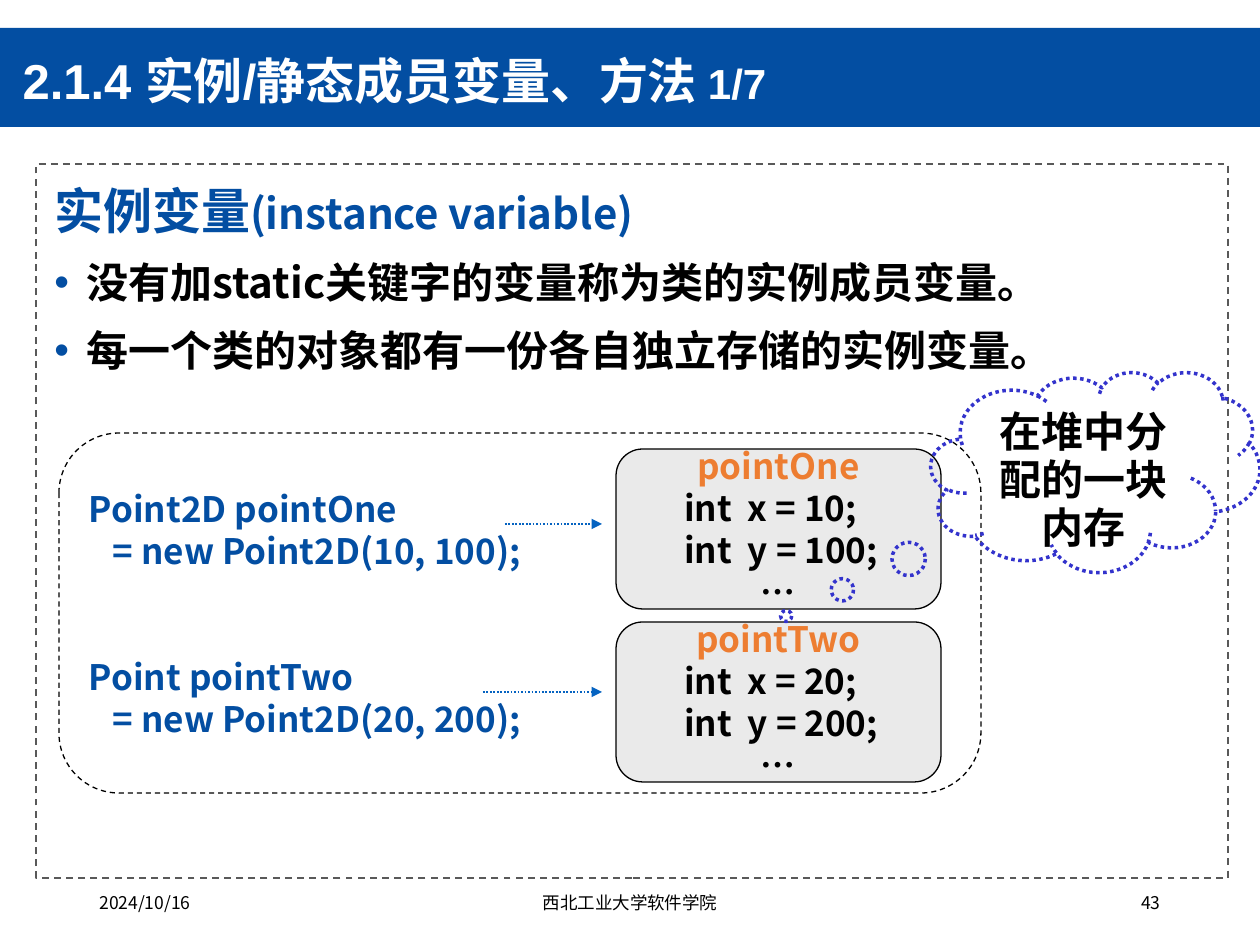
"""Build the slide on Java instance variables and their heap storage."""
import pptx
import pptx.util
import pptx.dml.color
import pptx.enum.dml
import pptx.enum.shapes
import pptx.enum.text
import pptx.oxml.ns
from dataclasses import dataclass
from lxml import etree

SHAPES = pptx.enum.shapes.MSO_SHAPE
ALIGN = pptx.enum.text.PP_ALIGN
ANCHOR = pptx.enum.text.MSO_ANCHOR
DASH = pptx.enum.dml.MSO_LINE


@dataclass(frozen=True)
class Theme:
    latin: str = "Arial"
    cjk: str = "Noto Sans CJK SC"
    blue: str = "034EA2"
    white: str = "FFFFFF"
    black: str = "000000"
    orange: str = "ED7D31"
    card: str = "EAEAEA"
    frame: str = "595959"
    arrow: str = "0563C1"
    cloud: str = "3333CC"
    heading: int = 28
    body: int = 24
    code: int = 20
    footer: int = 10
    leading: float = 1.2


THEME = Theme()
PX = 914400 // 126

TITLE = [("2.1.4 实例/静态成员变量、方法 ", THEME.heading), ("1/7", THEME.body)]
HEADING = [("实例变量", THEME.heading), ("(instance variable)", THEME.body)]
BULLETS = ["没有加static关键字的变量称为类的实例成员变量。",
           "每一个类的对象都有一份各自独立存储的实例变量。"]
STATEMENTS = [("Point2D pointOne", "   = new Point2D(10, 100);"),
              ("Point pointTwo", "   = new Point2D(20, 200);")]
OBJECTS = [("pointOne", ["int  x = 10;", "int  y = 100;"]),
           ("pointTwo", ["int  x = 20;", "int  y = 200;"])]
ARROWS = [(505, 524), (483, 692)]
ARROW_END = 602
CARD_TOP, CARD_PITCH = 449, 173
CALLOUT = "在堆中分配的一块内存"
FOOTERS = [("2024/10/16", 87, 284, ALIGN.LEFT),
           ("西北工业大学软件学院", 417, 426, ALIGN.CENTER),
           ("43", 890, 283, ALIGN.RIGHT)]


def px(*lengths):
    return [length * PX for length in lengths]


def rgb(color):
    return pptx.dml.color.RGBColor.from_string(color)


def sub(parent, tag, **attributes):
    return etree.SubElement(parent, pptx.oxml.ns.qn(tag), attributes)


def set_line(line, color, width, dash=None):
    line.color.rgb = rgb(color)
    line.width = pptx.util.Pt(width)
    if dash:
        line.dash_style = dash


def add_outline(slide, kind, box, fill=None, line=None):
    outline = slide.shapes.add_shape(kind, *px(*box))
    outline.shadow.inherit = False
    if fill:
        outline.fill.solid()
        outline.fill.fore_color.rgb = rgb(fill)
    else:
        outline.fill.background()
    if line:
        set_line(outline.line, *line)
    else:
        outline.line.fill.background()
    return outline


def prepare(frame, anchor=ANCHOR.TOP):
    frame.word_wrap = True
    frame.vertical_anchor = anchor
    return frame


def add_run(paragraph, text, size, color, latin=THEME.cjk, bold=True):
    run = paragraph.add_run()
    run.text = text
    font = run.font
    font.size, font.bold, font.name = pptx.util.Pt(size), bold, latin
    font.color.rgb = rgb(color)
    sub(run.font._element, "a:ea", typeface=THEME.cjk)


def add_paragraph(frame, runs, color, align=ALIGN.LEFT, before=0, indent=0,
                  leading=THEME.leading, bullet=False):
    first = frame.paragraphs[0]
    paragraph = frame.add_paragraph() if first.runs else first
    paragraph.alignment = align
    paragraph.line_spacing = pptx.util.Pt(max(size for _, size in runs) * leading)
    if before:
        paragraph.space_before = pptx.util.Pt(before)
    properties = paragraph._p.get_or_add_pPr()
    if indent:
        properties.set("marL", str(indent * PX))
    if bullet:
        properties.set("indent", str(-indent * PX))
        sub(sub(properties, "a:buClr"), "a:srgbClr", val=THEME.blue)
        sub(properties, "a:buFont", typeface=THEME.latin)
        sub(properties, "a:buChar", char="•")
    for text, size in runs:
        add_run(paragraph, text, size, color)


def add_title(slide):
    title = slide.shapes.title
    title.left, title.top, title.width, title.height = px(10, 42, 926, 83)
    header = add_outline(slide, SHAPES.RECTANGLE, (0, 28, 1260, 99), THEME.blue)
    title.element.addprevious(header.element)
    paragraph = prepare(title.text_frame, ANCHOR.MIDDLE).paragraphs[0]
    paragraph.alignment = ALIGN.LEFT
    paragraph.line_spacing = 0.9
    for text, size in TITLE:
        add_run(paragraph, text, size, THEME.white, THEME.latin)


def add_body(slide):
    add_outline(slide, SHAPES.RECTANGLE, (36, 164, 1192, 714),
                line=(THEME.frame, 1, DASH.DASH))
    body = prepare(slide.shapes.add_textbox(*px(42, 174, 1182, 200)).text_frame)
    add_paragraph(body, HEADING, THEME.blue)
    for bullet in BULLETS:
        add_paragraph(body, [(bullet, THEME.body)], THEME.black,
                      before=10, indent=32, bullet=True)


def add_statements(slide):
    panel = add_outline(slide, SHAPES.FLOWCHART_ALTERNATE_PROCESS,
                        (59, 433, 922, 360), line=(THEME.black, 0.75, DASH.DASH))
    frame = prepare(panel.text_frame, ANCHOR.MIDDLE)
    for index, statement in enumerate(STATEMENTS):
        for row, code in enumerate(statement):
            gap = 2 * THEME.code * THEME.leading if index and not row else 0
            add_paragraph(frame, [(code, THEME.code)], THEME.blue, before=gap)


def add_object(slide, top, name, fields):
    card = add_outline(slide, SHAPES.FLOWCHART_ALTERNATE_PROCESS,
                       (616, top, 325, 160), THEME.card, (THEME.black, 0.75))
    frame = prepare(card.text_frame, ANCHOR.MIDDLE)
    add_paragraph(frame, [(name, THEME.code)], THEME.orange, ALIGN.CENTER)
    for field in fields:
        add_paragraph(frame, [(field, THEME.code)], THEME.black, indent=48)
    add_paragraph(frame, [("…", THEME.code)], THEME.black, ALIGN.CENTER)


def add_arrow(slide, start, y):
    arrow = slide.shapes.add_connector(pptx.enum.shapes.MSO_CONNECTOR.STRAIGHT,
                                       *px(start, y, ARROW_END, y))
    set_line(arrow.line, THEME.arrow, 1, DASH.ROUND_DOT)
    sub(arrow.line._get_or_add_ln(), "a:tailEnd", type="triangle")
    sub(arrow._element.spPr, "a:effectLst")


def add_callout(slide):
    cloud = add_outline(slide, SHAPES.CLOUD_CALLOUT, (931, 372, 329, 200),
                        line=(THEME.cloud, 2, DASH.ROUND_DOT))
    cloud.adjustments[0], cloud.adjustments[1] = -0.94, 0.72
    add_paragraph(prepare(cloud.text_frame), [(CALLOUT, THEME.body)], THEME.black,
                  ALIGN.CENTER, leading=1.14)


def add_footers(slide):
    for text, left, width, align in FOOTERS:
        footer = slide.shapes.add_textbox(*px(left, 886, width, 50))
        paragraph = prepare(footer.text_frame).paragraphs[0]
        paragraph.alignment = align
        add_run(paragraph, text, THEME.footer, THEME.black, bold=False)


def main():
    deck = pptx.Presentation()
    deck.slide_width, deck.slide_height = px(1260, 945)
    slide = deck.slides.add_slide(deck.slide_layouts[5])
    add_title(slide)
    add_body(slide)
    add_statements(slide)
    for index, (name, fields) in enumerate(OBJECTS):
        add_object(slide, CARD_TOP + index * CARD_PITCH, name, fields)
    for start, y in ARROWS:
        add_arrow(slide, start, y)
    add_callout(slide)
    add_footers(slide)
    deck.save("out.pptx")


if __name__ == "__main__":
    main()
